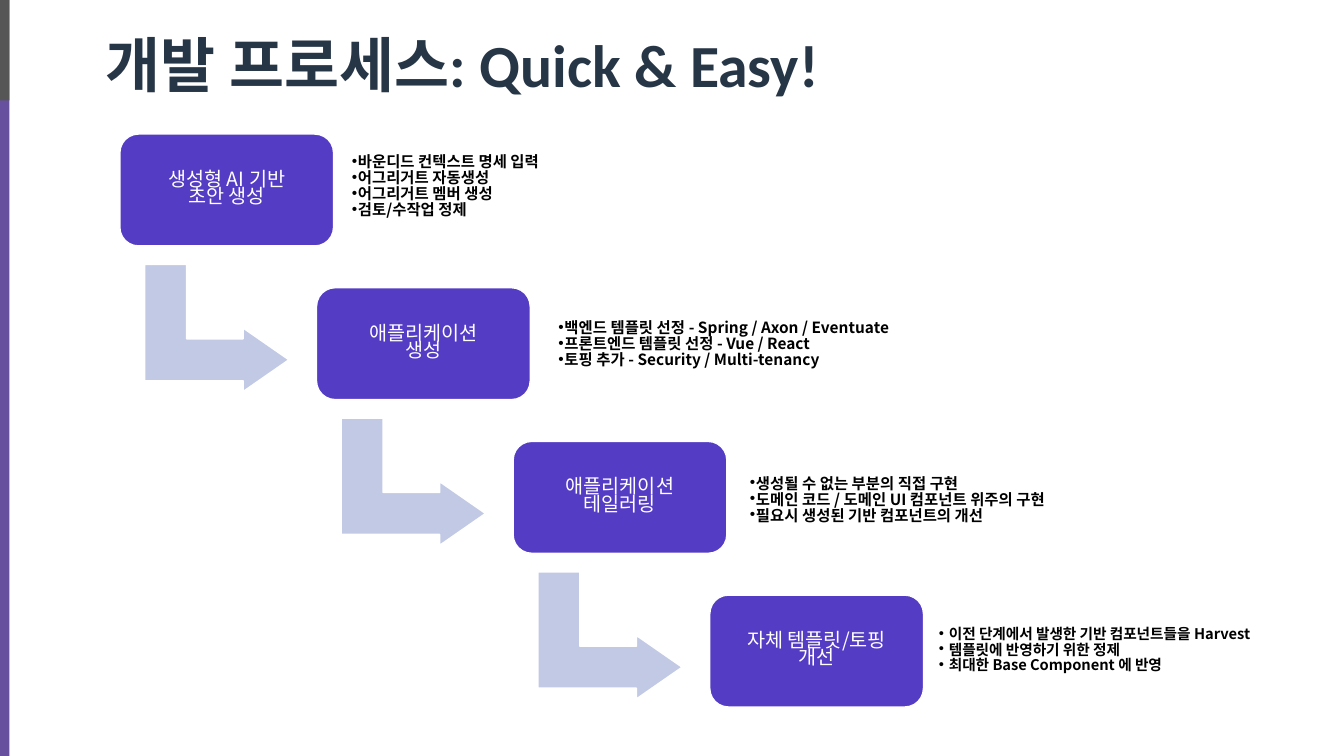
from copy import deepcopy

from lxml import etree
from pptx import Presentation
from pptx import util as u
from pptx.dml.color import RGBColor
from pptx.enum import shapes, text
from pptx.oxml import ns

KOREAN = "Noto Sans CJK KR"
STEP_X, STEP_Y = 14.63, 20.33
FIRST_X, FIRST_Y = 8.92, 17.73

STEPS = [
    ("생성형 AI 기반\v초안 생성", (25.73, 16.8, 17.63), 11, 0.06,
     ["바운디드 컨텍스트 명세 입력", "어그리거트 자동생성",
      "어그리거트 멤버 생성", "검토/수작업 정제"]),
    ("애플리케이션\v생성", (41.1, 37.73, 33.68), 11, 0.06,
     ["백엔드 템플릿 선정 - Spring / Axon / Eventuate",
      "프론트엔드 템플릿 선정 - Vue / React",
      "토핑 추가 - Security / Multi-tenancy"]),
    ("애플리케이션\v테일러링", (55.35, 58.27, 26.33), 11, 0.06,
     ["생성될 수 없는 부분의 직접 구현",
      "도메인 코드 / 도메인 UI 컴포넌트 위주의 구현",
      "필요시 생성된 기반 컴포넌트의 개선"]),
    ("자체 템플릿/토핑\v개선", (69.4, 78.13, 25), 10.5, 0.1,
     ["이전 단계에서 발생한 기반 컴포넌트들을 Harvest",
      "템플릿에 반영하기 위한 정제",
      "최대한 Base Component 에 반영"]),
]


def color(value):
    return RGBColor.from_string(value)


def write(paragraph, words, size, ink, font=KOREAN, bold=False, align=text.PP_ALIGN.LEFT,
          spacing=0.74, after=0.0, bullet_indent=None):
    paragraph.text = words
    paragraph.alignment = align
    paragraph.line_spacing = spacing
    paragraph.space_before = u.Pt(0)
    paragraph.space_after = u.Pt(after)
    if bullet_indent:
        props = paragraph._p.get_or_add_pPr()
        props.set("marL", str(u.Inches(bullet_indent)))
        props.set("indent", str(-u.Inches(bullet_indent)))
        etree.SubElement(props, ns.qn("a:buChar")).set("char", "•")
    for run in paragraph.runs:
        run.font.size, run.font.bold, run.font.name = u.Pt(size), bold, font
        run.font.color.rgb = color(ink)
        etree.SubElement(run._r.get_or_add_rPr(), ns.qn("a:ea")).set("typeface", KOREAN)
    for line_break in paragraph._p.findall(ns.qn("a:br")):
        line_break.append(deepcopy(paragraph.runs[0]._r.rPr))


class ProcessSlide:
    """Draws the process slide with lengths in percent of the slide's size."""

    purple, arrow_blue, navy = "553CC4", "C1C9E4", "273646"

    def __init__(self, deck):
        self.deck = deck
        self.slide = deck.slides.add_slide(deck.slide_layouts.get_by_name("Comparison"))

    def area(self, left, top, width, height):
        across, down = self.deck.slide_width / 100, self.deck.slide_height / 100
        return [round(v) for v in (left * across, top * down, width * across, height * down)]

    def figure(self, kind, area, fill, outline=None):
        figure = self.slide.shapes.add_shape(kind, *self.area(*area))
        figure.shadow.inherit = False
        figure.fill.solid()
        figure.fill.fore_color.rgb = color(fill)
        if outline:
            figure.line.color.rgb = color(outline)
            figure.line.width = u.Pt(1)
        else:
            figure.line.fill.background()
        return figure

    def frame(self, holder, side, edge):
        frame = holder.text_frame
        frame.word_wrap = True
        frame.auto_size = text.MSO_AUTO_SIZE.NONE
        frame.vertical_anchor = text.MSO_ANCHOR.MIDDLE
        frame.margin_left = frame.margin_right = u.Inches(side)
        frame.margin_top = frame.margin_bottom = u.Inches(edge)
        return frame

    def placeholder(self, index, area):
        holder = self.slide.placeholders[index]
        holder.left, holder.top, holder.width, holder.height = self.area(*area)
        return holder

    def title(self, words):
        holder = self.placeholder(0, (7.12, 3.73, 85.67, 10.67))
        write(self.frame(holder, 0.1, 0.05).paragraphs[0], words, 42.7, self.navy,
              font="Calibri", bold=True, spacing=0.9)

    def step(self, left, top, label):
        box = self.figure(shapes.MSO_SHAPE.ROUNDED_RECTANGLE, (left, top, 15.9, 14.8),
                          self.purple, "FFFFFF")
        write(self.frame(box, 0.1, 0.06).paragraphs[0], label, 14, "FFFFFF",
              align=text.PP_ALIGN.CENTER)

    def arrow(self, left, top):
        arrow = self.figure(shapes.MSO_SHAPE.BENT_UP_ARROW, (left, top, 9.45, 19.07),
                            self.arrow_blue, "FFFFFF")
        arrow.rotation = 90
        for i, share in enumerate((0.33, 0.25, 0.36)):
            arrow.adjustments[i] = share

    def tasks(self, index, place, size, indent, items):
        frame = self.frame(self.placeholder(index, (*place, 16)), 0.06, 0.06)
        for i, item in enumerate(items):
            paragraph = frame.add_paragraph() if i else frame.paragraphs[0]
            write(paragraph, item, size, "000000", bold=True, after=size * 0.15,
                  bullet_indent=indent)


def main():
    deck = Presentation()
    deck.slide_width, deck.slide_height = u.Inches(13.33), u.Inches(7.5)
    page = ProcessSlide(deck)
    for height, fill in ((100, "67519E"), (13.3, "575656")):
        page.figure(shapes.MSO_SHAPE.RECTANGLE, (0, 0, 0.7, height), fill)
    page.title("개발 프로세스: Quick & Easy!")
    for i, (label, place, size, indent, items) in enumerate(STEPS):
        left, top = FIRST_X + i * STEP_X, FIRST_Y + i * STEP_Y
        if i < len(STEPS) - 1:
            page.arrow(left + 2.48, top + 16.13)
        page.step(left, top, label)
        page.tasks(i + 1, place, size, indent, items)
    deck.save("out.pptx")


if __name__ == "__main__":
    main()
